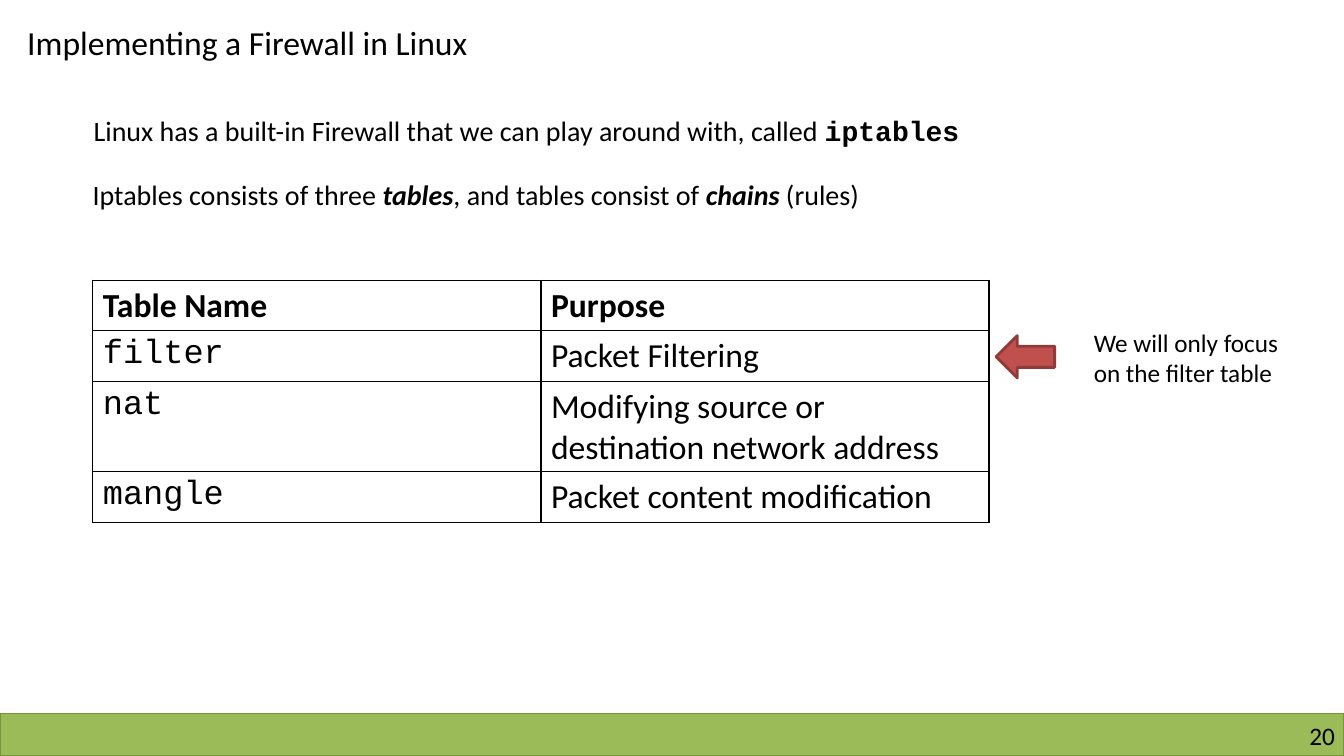
"""Build the slide on the firewall tables in Linux."""
import pptx
import pptx.dml.color
import pptx.enum.shapes
import pptx.enum.text
import pptx.oxml
import pptx.oxml.ns
import pptx.util

Inches = pptx.util.Inches
Pt = pptx.util.Pt
Shape = pptx.enum.shapes.MSO_SHAPE
Align = pptx.enum.text.PP_ALIGN
Anchor = pptx.enum.text.MSO_ANCHOR


class Theme:
    """Hold the colours, fonts and type sizes."""
    ink, white = "000000", "FFFFFF"
    green, moss = "9BBB59", "77933C"
    red, rust = "C0504D", "8E3B39"
    sans, mono = "Calibri", "Courier New"
    large, mid, small = 24, 20, 18


class Deck:
    """Draw styled elements on the current slide."""

    def __init__(self, theme):
        """Start a wide deck with one title slide."""
        self.theme = theme
        self.file = pptx.Presentation()
        self.file.slide_width = Inches(13.33)
        self.file.slide_height = Inches(7.5)
        self.slide = self.file.slides.add_slide(self.file.slide_layouts[5])

    def tint(self, code):
        """Return the colour for a hex code."""
        return pptx.dml.color.RGBColor.from_string(code)

    def typeset(self, frame, runs, size, align=Align.LEFT):
        """Put styled runs in the first paragraph of a frame."""
        para = frame.paragraphs[0]
        para.alignment = align
        for words, style in runs:
            run = para.add_run()
            run.text = words
            form = {"name": self.theme.sans, "size": Pt(size),
                    "bold": False, "italic": False, **style}
            for key, value in form.items():
                setattr(run.font, key, value)
            run.font.color.rgb = self.tint(self.theme.ink)

    def title(self, words, box):
        """Move and fill the title placeholder."""
        item = self.slide.shapes.title
        for key, value in zip(("left", "top", "width", "height"), box):
            setattr(item, key, Inches(value))
        item.text_frame.word_wrap = True
        item.text_frame.vertical_anchor = Anchor.TOP
        self.typeset(item.text_frame, [(words, {})], self.theme.large)

    def text(self, runs, box, size, align=Align.LEFT, inset=True):
        """Add a wrapped text box."""
        frame = self.slide.shapes.add_textbox(*map(Inches, box)).text_frame
        frame.word_wrap = True
        if not inset:
            for side in ("left", "top", "right", "bottom"):
                setattr(frame, "margin_" + side, 0)
        self.typeset(frame, runs, size, align)

    def shape(self, kind, box, fill, line, width):
        """Add a filled preset shape."""
        item = self.slide.shapes.add_shape(kind, *map(Inches, box))
        item.shadow.inherit = False
        item.fill.solid()
        item.fill.fore_color.rgb = self.tint(fill)
        item.line.color.rgb = self.tint(line)
        item.line.width = Pt(width)

    def border(self, cell):
        """Draw a thin line on each side of a cell."""
        props = cell._tc.get_or_add_tcPr()
        space = pptx.oxml.ns.nsdecls("a")
        for spot, side in enumerate("LRTB"):
            props.insert(spot, pptx.oxml.parse_xml(
                f'<a:ln{side} {space} w="12700"><a:solidFill>'
                f'<a:srgbClr val="{self.theme.ink}"/>'
                f'</a:solidFill></a:ln{side}>'))

    def table(self, rows, box, heights):
        """Add a ruled table with a bold head and code names."""
        grid = self.slide.shapes.add_table(
            len(rows), len(rows[0]), *map(Inches, box)).table
        for row, height in zip(grid.rows, heights):
            row.height = Inches(height)
        for down, row in enumerate(rows):
            for across, words in enumerate(row):
                cell = grid.cell(down, across)
                cell.fill.solid()
                cell.fill.fore_color.rgb = self.tint(self.theme.white)
                self.border(cell)
                code = down > 0 and across == 0
                style = {"bold": down == 0,
                         "name": self.theme.mono if code else self.theme.sans}
                self.typeset(cell.text_frame, [(words, style)],
                             self.theme.large)


def main():
    """Compose and save the slide."""
    theme = Theme()
    deck = Deck(theme)
    strong = {"bold": True, "italic": True}
    deck.shape(Shape.RECTANGLE, (0, 7.08, 13.33, 0.42),
               theme.green, theme.moss, 1)
    deck.text([("20", {})], (10.17, 7.15, 3.07, 0.3), theme.small,
              Align.RIGHT, inset=False)
    deck.title("Implementing a Firewall in Linux", (0.17, 0.17, 5.02, 0.5))
    deck.text([("Linux has a built-in Firewall that we can play around with, "
                "called ", {}),
               ("iptables", {"name": theme.mono, "bold": True})],
              (0.83, 1.08, 9.53, 0.44), theme.mid)
    deck.text([("Iptables consists of three ", {}), ("tables", strong),
               (", and tables consist of ", {}), ("chains", strong),
               (" (rules)", {})],
              (0.82, 1.71, 8.73, 0.44), theme.mid)
    deck.table([("Table Name", "Purpose"),
                ("filter", "Packet Filtering"),
                ("nat", "Modifying source or destination network address"),
                ("mangle", "Packet content modification")],
               (0.92, 2.78, 8.89, 2.4), (0.5, 0.5, 0.9, 0.5))
    deck.shape(Shape.LEFT_ARROW, (9.88, 3.33, 0.58, 0.42),
               theme.red, theme.rust, 2)
    deck.text([("We will only focus on the filter table", {})],
              (10.75, 3.2, 2.23, 0.71), theme.small)
    deck.file.save("out.pptx")


if __name__ == "__main__":
    main()
